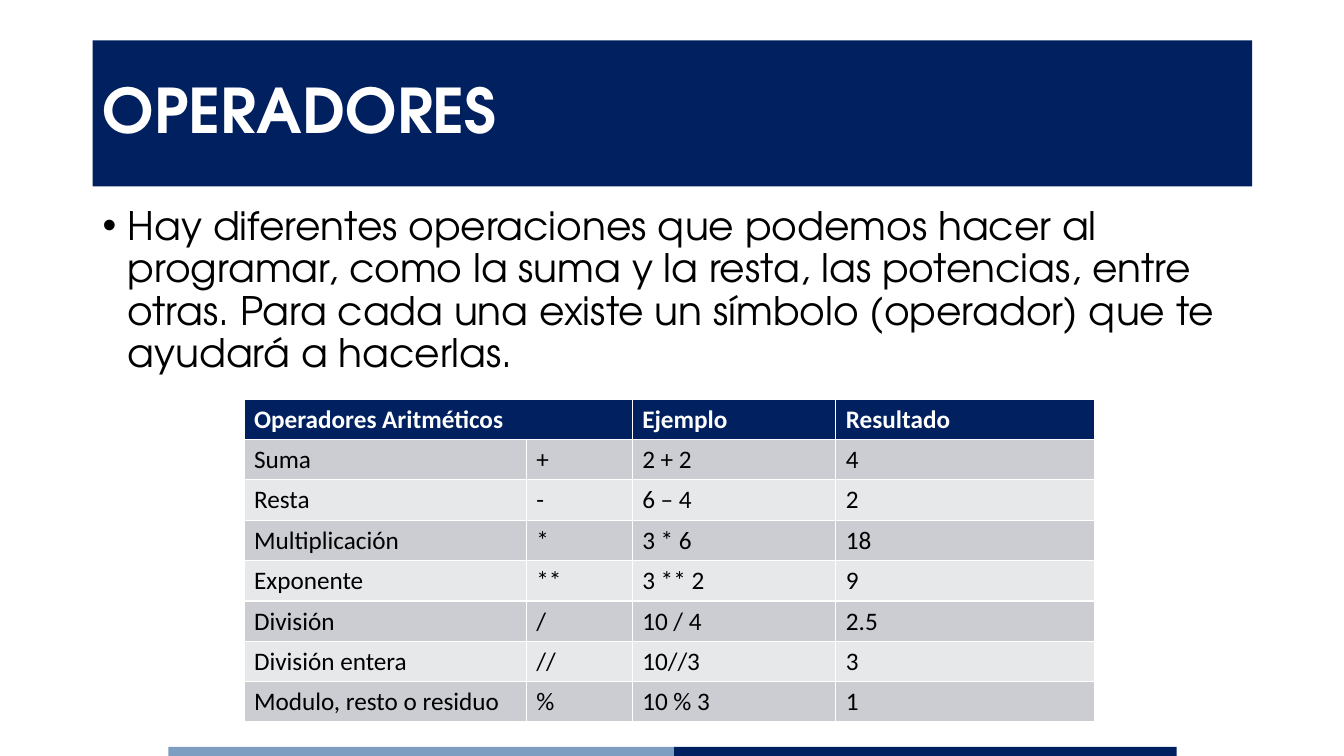
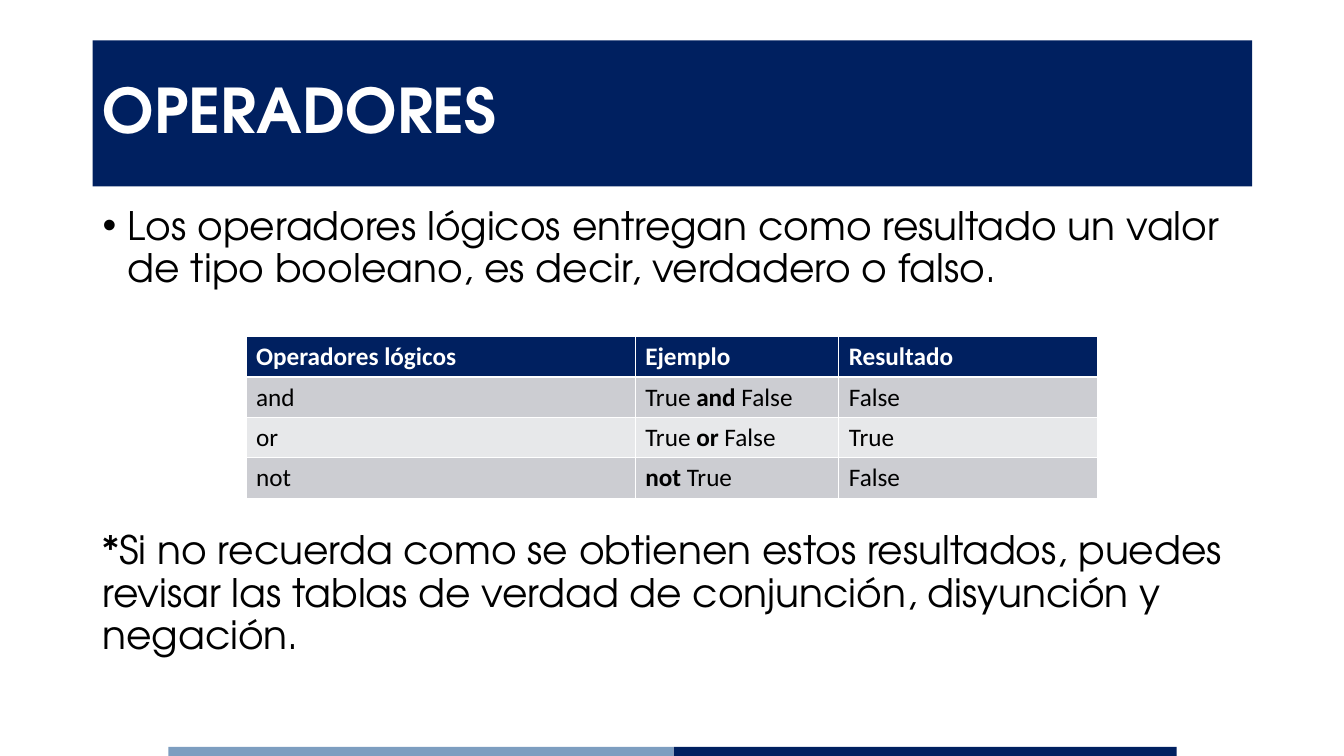
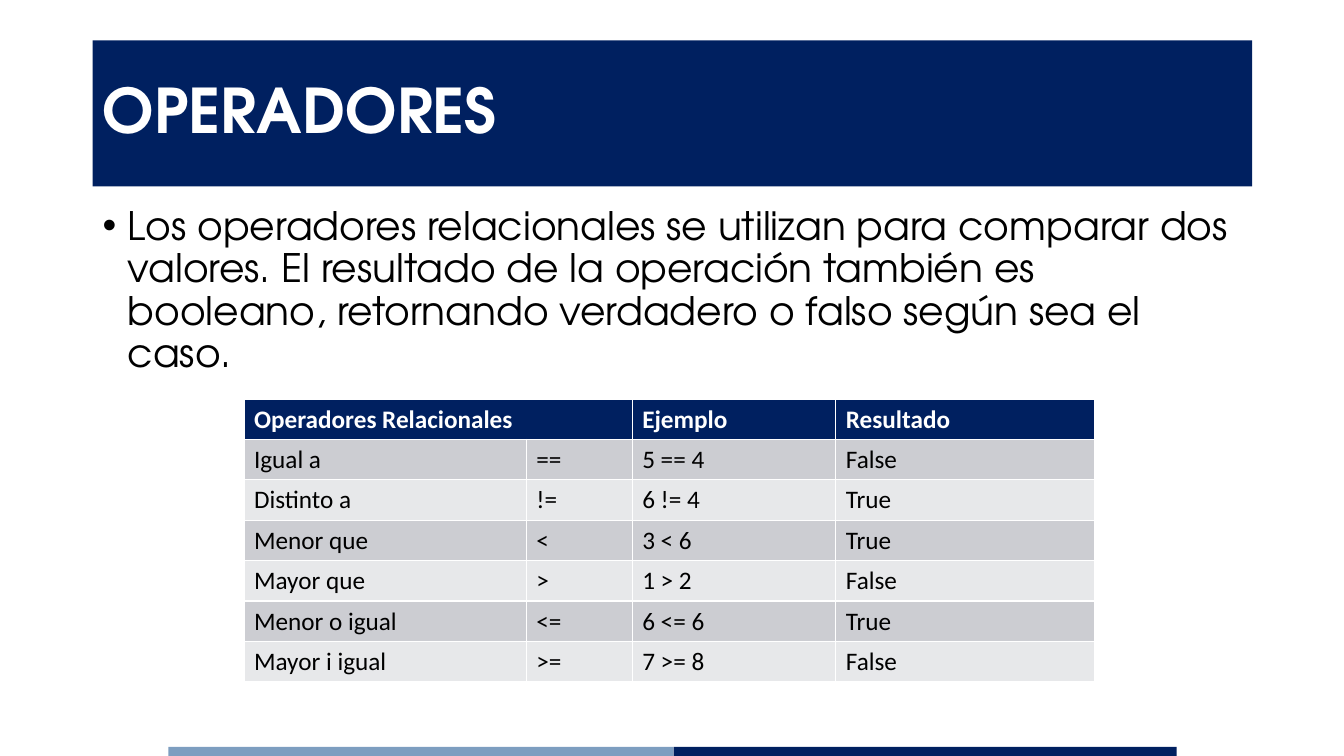
import dataclasses

import pptx
import pptx.dml.color
import pptx.enum.shapes
import pptx.enum.text
import pptx.oxml.ns
import pptx.util
from lxml import etree

Inches = pptx.util.Inches
Pt = pptx.util.Pt
RGB = pptx.dml.color.RGBColor.from_string
qn = pptx.oxml.ns.qn


@dataclasses.dataclass(frozen=True)
class Theme:
    navy: RGB = RGB("002060")
    sky: RGB = RGB("7D9EC0")
    white: RGB = RGB("FFFFFF")
    black: RGB = RGB("000000")
    bands: tuple = (RGB("CCCDD2"), RGB("E7E8EA"))
    face: str = "TeX Gyre Adventor"
    grid: str = "Calibri"
    title: Pt = Pt(44)
    body: Pt = Pt(28)
    cell: Pt = Pt(18)


theme = Theme()
LEFT, WIDTH = Inches(0.92), Inches(11.5)
ROW = Inches(0.4)
WIDE = (2.8, 1.05, 2.02, 2.57)
SHORT = (3.86, 2.02, 2.57)

# In a header, None joins the cell to the one on its left.
# In a cell, text between bars is bold.
pages = [
    dict(
        text="Hay diferentes operaciones que podemos hacer al programar, como la suma y la resta, "
             "las potencias, entre otras. Para cada una existe un símbolo (operador) que te ayudará a hacerlas.",
        note=None,
        spot=(2.42, 3.96),
        cols=WIDE,
        rows=[
            ("Operadores Aritméticos", None, "Ejemplo", "Resultado"),
            ("Suma", "+", "2 + 2", "4"),
            ("Resta", "-", "6 – 4", "2"),
            ("Multiplicación", "*", "3 * 6", "18"),
            ("Exponente", "**", "3 ** 2", "9"),
            ("División", "/", "10 / 4", "2.5"),
            ("División entera", "//", "10//3", "3"),
            ("Modulo, resto o residuo", "%", "10 % 3", "1"),
        ],
    ),
    dict(
        text="Los operadores lógicos entregan como resultado un valor de tipo booleano, "
             "es decir, verdadero o falso.",
        note="*Si no recuerda como se obtienen estos resultados, puedes revisar las tablas de verdad "
             "de conjunción, disyunción y negación.",
        spot=(2.44, 3.34),
        cols=SHORT,
        rows=[
            ("Operadores lógicos", "Ejemplo", "Resultado"),
            ("and", "True |and| False", "False"),
            ("or", "True |or| False", "True"),
            ("not", "|not| True", "False"),
        ],
    ),
    dict(
        text="Los operadores relacionales se utilizan para comparar dos valores. El resultado de la "
             "operación también es booleano, retornando verdadero o falso según sea el caso.",
        note=None,
        spot=(2.42, 3.96),
        cols=WIDE,
        rows=[
            ("Operadores Relacionales", None, "Ejemplo", "Resultado"),
            ("Igual a", "==", "5 == 4", "False"),
            ("Distinto a", "!=", "6 != 4", "True"),
            ("Menor que", "<", "3 < 6", "True"),
            ("Mayor que", ">", "1 > 2", "False"),
            ("Menor o igual", "<=", "6 <= 6", "True"),
            ("Mayor i igual", ">=", "7 >= 8", "False"),
        ],
    ),
]


def add_bar(slide, left, top, width, height, color):
    bar = slide.shapes.add_shape(
        pptx.enum.shapes.MSO_SHAPE.RECTANGLE, left, top, width, height)
    bar.shadow.inherit = False
    bar.fill.solid()
    bar.fill.fore_color.rgb = color
    bar.line.fill.background()
    return bar


def add_text(slide, top, height, text, bullet):
    box = slide.shapes.add_textbox(LEFT, top, WIDTH, height)
    box.text_frame.word_wrap = True
    para = box.text_frame.paragraphs[0]
    para.text = text
    para.line_spacing = 0.9
    if bullet:
        props = para._p.get_or_add_pPr()
        props.set("marL", str(Inches(0.25)))
        props.set("indent", str(-Inches(0.25)))
        etree.SubElement(props, qn("a:buFont")).set("typeface", "Arial")
        etree.SubElement(props, qn("a:buChar")).set("char", "•")
    font = para.runs[0].font
    font.name, font.size, font.color.rgb = theme.face, theme.body, theme.black


deck = pptx.Presentation()
deck.slide_width, deck.slide_height = Inches(13.33), Inches(7.5)

for page in pages:
    slide = deck.slides.add_slide(deck.slide_layouts[6])
    add_bar(slide, Inches(1.67), Inches(7.41), Inches(5.01), Inches(0.09), theme.sky)
    add_bar(slide, Inches(6.68), Inches(7.41), Inches(4.99), Inches(0.09), theme.navy)

    title = add_bar(slide, LEFT, Inches(0.4), WIDTH, Inches(1.45), theme.navy)
    title.text_frame.vertical_anchor = pptx.enum.text.MSO_ANCHOR.MIDDLE
    para = title.text_frame.paragraphs[0]
    para.text = "OPERADORES"
    para.alignment = pptx.enum.text.PP_ALIGN.LEFT
    para.line_spacing = 0.9
    font = para.runs[0].font
    font.name, font.size, font.bold = theme.face, theme.title, True
    font.color.rgb = theme.white

    add_text(slide, Inches(2), Inches(1.8), page["text"], True)
    if page["note"]:
        add_text(slide, Inches(5.22), Inches(1.4), page["note"], False)

    rows, cols = page["rows"], page["cols"]
    left, top = page["spot"]
    table = slide.shapes.add_table(
        len(rows), len(cols), Inches(left), Inches(top),
        Inches(sum(cols)), ROW * len(rows)).table
    for col, width in zip(table.columns, cols):
        col.width = Inches(width)
    for r, row in enumerate(rows):
        table.rows[r].height = ROW
        head = r == 0
        for c, text in enumerate(row):
            cell = table.cell(r, c)
            cell.fill.solid()
            cell.fill.fore_color.rgb = theme.navy if head else theme.bands[(r - 1) % 2]
            if text is None:
                table.cell(r, c - 1).merge(cell)
                continue
            para = cell.text_frame.paragraphs[0]
            for i, part in enumerate(text.split("|")):
                if not part:
                    continue
                run = para.add_run()
                run.text = part
                font = run.font
                font.name, font.size = theme.grid, theme.cell
                font.bold = head or i % 2 == 1
                font.color.rgb = theme.white if head else theme.black

deck.save("out.pptx")
